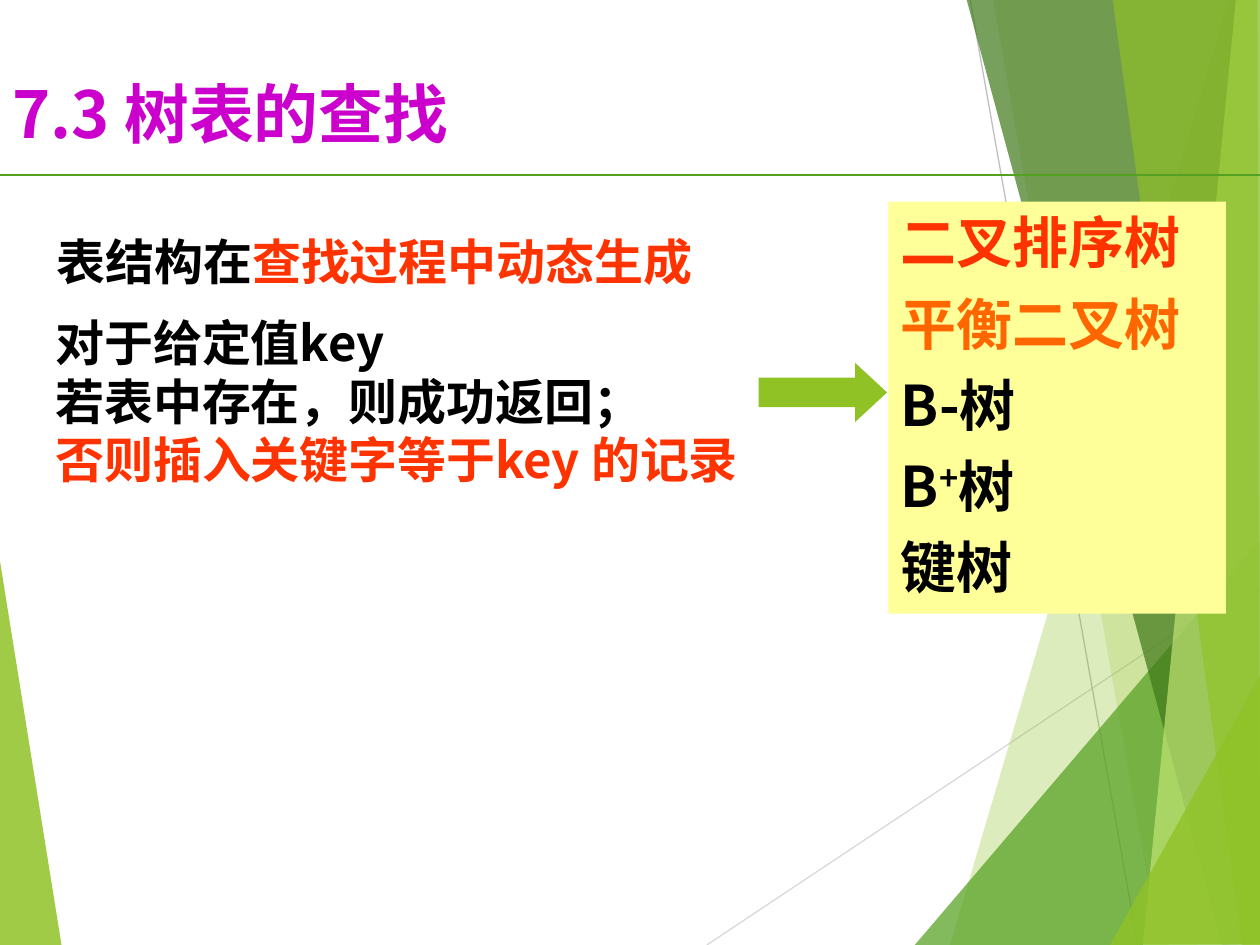
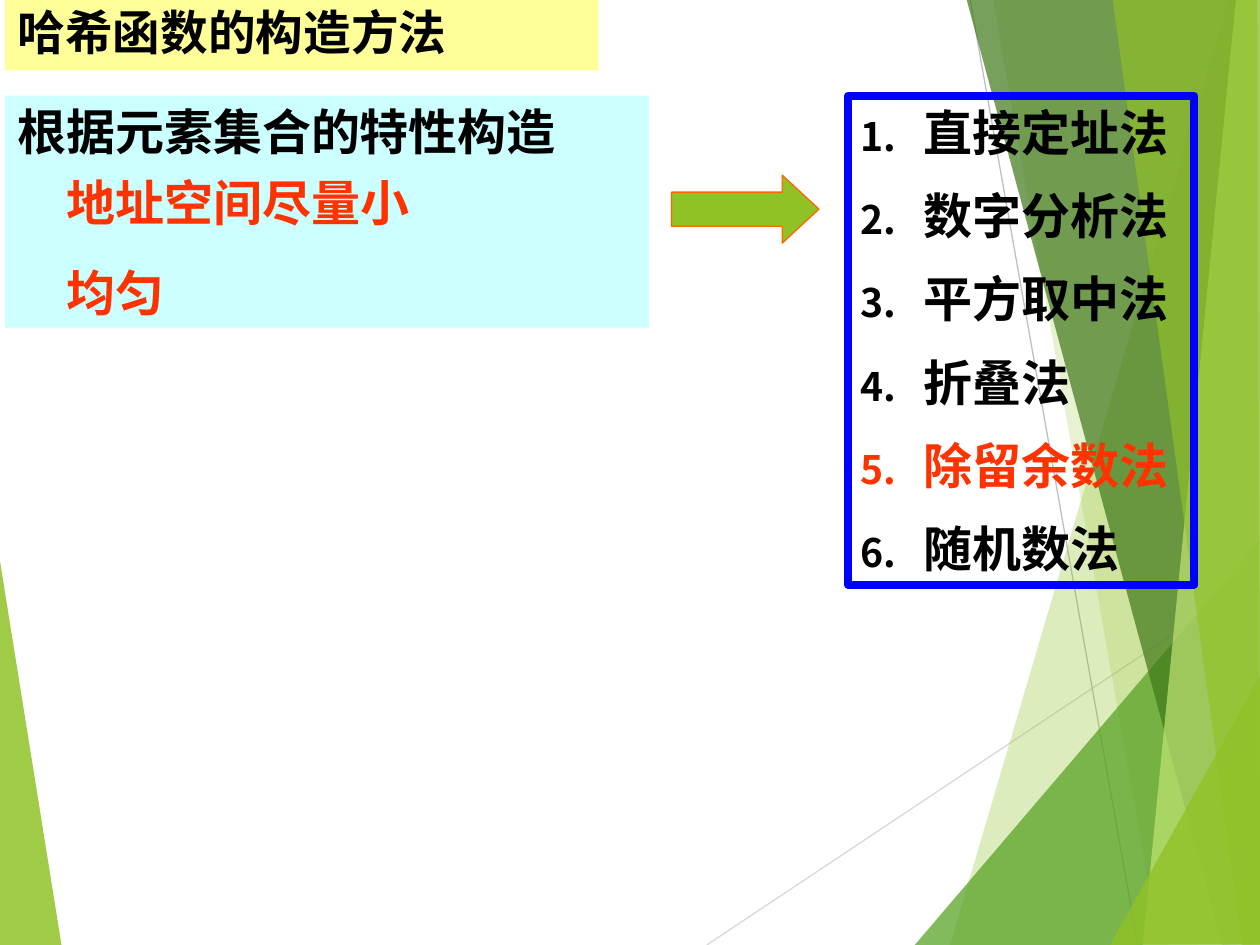
from lxml import etree
from pptx import Presentation
from pptx.dml.color import RGBColor
from pptx.enum import shapes, text
from pptx.oxml.ns import qn
from pptx.util import Inches, Pt

# Shared palette and fonts
LIME = RGBColor(0x90, 0xC2, 0x26)
PALE_LIME = RGBColor(0xC0, 0xE4, 0x74)
GREEN = RGBColor(0x54, 0xA0, 0x21)
FOREST = RGBColor(0x3F, 0x78, 0x19)
LIGHT_GREY = RGBColor(0xD9, 0xD9, 0xD9)
GREY = RGBColor(0xBF, 0xBF, 0xBF)
PURPLE = RGBColor(0xCC, 0x00, 0xCC)
RED = RGBColor(0xFF, 0x33, 0x00)
ORANGE = RGBColor(0xFF, 0x66, 0x00)
BLACK = RGBColor(0, 0, 0)
BLUE = RGBColor(0, 0, 0xFF)
YELLOW = RGBColor(0xFF, 0xFF, 0x99)
CYAN = RGBColor(0xCC, 0xFF, 0xFF)
SANS = "Noto Sans CJK SC"
SERIF = "Times New Roman"

# Translucent facets from back to front: colour, opacity in percent, corners
FACETS = [
    (LIME, 85, [(-0.01, 4.39), (0.49, 7.51), (-0.01, 7.5)]),
    (LIME, 30, [(9.75, 0), (7.54, 7.5), (10.02, 7.51), (10.01, 0.01)]),
    (LIME, 20, [(7.88, -0.01), (9.2, 7.5), (10.01, 7.5), (10.01, -0.01)]),
    (GREEN, 72, [(7.26, 7.5), (10, 4.29), (10.01, 7.5)]),
    (FOREST, 70, [(7.67, -0.01), (9.7, 7.5), (10.01, 7.49), (10.01, -0.01)]),
    (PALE_LIME, 70, [(9.81, -0.01), (9.07, 7.5), (10.01, 7.5), (10, -0.01)]),
    (LIME, 65, [(8.83, -0.01), (9.86, 7.5), (10, 7.5), (9.98, -0.01)]),
    (LIME, 80, [(8.81, 7.5), (10.01, 5.35), (10.01, 7.49)]),
]


def inches(*lengths):
    return [Inches(length) for length in lengths]


def place(shape, box):
    shape.left, shape.top, shape.width, shape.height = inches(*box)
    return shape


def paint(shape, color):
    shape.fill.solid()
    shape.fill.fore_color.rgb = color


def add_line(slide, start, end, color, width):
    line = slide.shapes.add_connector(
        shapes.MSO_CONNECTOR.STRAIGHT, *inches(*start, *end))
    line.line.color.rgb = color
    line.line.width = Pt(width)
    etree.SubElement(line._element.spPr, qn("a:effectLst"))
    return line


def add_facet(slide, color, opacity, corners):
    points = [inches(*corner) for corner in corners]
    outline = slide.shapes.build_freeform(*points[0], scale=1.0)
    outline.add_line_segments(points[1:], close=True)
    facet = outline.convert_to_shape()
    facet.shadow.inherit = False
    facet.line.fill.background()
    paint(facet, color)
    shade = facet._element.spPr.find(".//" + qn("a:srgbClr"))
    etree.SubElement(shade, qn("a:alpha"), val=str(opacity * 1000))
    return facet


def build_backdrop(slide):
    """Draw the backdrop once and hand it to the layout both slides use."""
    parts = [add_facet(slide, *FACETS[0]),
             add_line(slide, (5.61, 7.5), (10.01, 4.57), LIGHT_GREY, 0.75),
             add_line(slide, (7.7, 0), (9.03, 7.5), GREY, 0.75)]
    parts += [add_facet(slide, *facet) for facet in FACETS[1:]]
    tree = slide.slide_layout.shapes.element
    for part in parts:
        tree.append(part._element)


def set_marker(paragraph, color=None, indent=0.0, hanging=0.0):
    """Number the paragraph in the given colour, or clear its bullet."""
    props = paragraph._p.get_or_add_pPr()
    props.set("marL", str(Inches(indent)))
    props.set("indent", str(-Inches(hanging)))
    if color is None:
        etree.SubElement(props, qn("a:buNone"))
        return
    shade = etree.SubElement(props, qn("a:buClr"))
    etree.SubElement(shade, qn("a:srgbClr"), val=str(color))
    etree.SubElement(props, qn("a:buSzPct"), val="80000")
    etree.SubElement(props, qn("a:buAutoNum"), type="arabicPeriod")


def write(shape, paragraphs, size=28, before=0, line=None, font=SANS,
          anchor=text.MSO_ANCHOR.TOP, numbered=False, indent=0.0, hanging=0.0):
    """Fill a shape; a paragraph is a list of (words, colour, options...) runs."""
    frame = shape.text_frame
    frame.word_wrap = True
    frame.auto_size = text.MSO_AUTO_SIZE.NONE
    frame.vertical_anchor = anchor
    for index, runs in enumerate(paragraphs):
        paragraph = frame.add_paragraph() if index else frame.paragraphs[0]
        options = runs[0][2] if len(runs[0]) > 2 else {}
        set_marker(paragraph, runs[0][1] if numbered else None,
                   options.get("indent", indent), hanging)
        paragraph.alignment = text.PP_ALIGN.LEFT
        paragraph.space_before = Pt(options.get("before", before) if index else 0)
        if line:
            paragraph.line_spacing = line
        for words, color, *extra in runs:
            settings = extra[0] if extra else {}
            run = paragraph.add_run()
            run.text = words
            run.font.size = Pt(size)
            run.font.bold = True
            run.font.color.rgb = color
            run.font.name = settings.get("font", font)
            props = run.font._element
            etree.SubElement(props, qn("a:ea"), typeface=SANS)
            if "raised" in settings:
                props.set("baseline", str(settings["raised"] * 1000))


def add_note(slide, box, paragraphs, fill=None, **style):
    note = slide.shapes.add_textbox(*inches(*box))
    if fill is not None:
        paint(note, fill)
    write(note, paragraphs, **style)


def add_arrow(slide, box, head, outline=None):
    arrow = slide.shapes.add_shape(shapes.MSO_SHAPE.RIGHT_ARROW, *inches(*box))
    arrow.shadow.inherit = False
    arrow.adjustments[1] = head
    paint(arrow, LIME)
    if outline is None:
        arrow.line.fill.background()
    else:
        arrow.line.color.rgb = outline
        arrow.line.width = Pt(0.75)


def set_title(slide, box, words, color, size):
    title = place(slide.shapes.title, box)
    write(title, [[(words, color)]], size=size, line=0.9,
          anchor=text.MSO_ANCHOR.MIDDLE)
    return title


def build_tree_tables(slide):
    # Heading and rule
    set_title(slide, (0, 0.56, 6.73, 0.75), "7.3 树表的查找", PURPLE, 37)
    add_line(slide, (0, 1.39), (10, 1.39), GREEN, 1)

    # How a tree table is searched
    add_note(slide, (0.35, 1.79, 5.5, 0.57),
             [[("表结构在", BLACK), ("查找过程中动态生成", RED)]])
    add_note(slide, (0.34, 2.43, 5.69, 1.97),
             [[("对于给定值key", BLACK)],
              [("若表中存在，则成功返回；", BLACK)],
              [("否则插入关键字等于key 的记录", RED)]])

    # Kinds of tree
    kinds = place(slide.placeholders[1], (7.05, 1.6, 2.68, 3.27))
    paint(kinds, YELLOW)
    write(kinds,
          [[("二叉排序树", RED)],
           [("平衡二叉树", ORANGE)],
           [("B-树", BLACK)],
           [("B", BLACK), ("+", BLACK, {"raised": 30}), ("树", BLACK)],
           [("键树", BLACK)]],
          size=32, before=8, indent=0.38, hanging=0.38)
    add_arrow(slide, (6.02, 2.88, 1.02, 0.47), head=0.54)


def build_hash_methods(slide):
    # Heading band
    heading = set_title(slide, (0.04, 0, 4.71, 0.56),
                        "哈希函数的构造方法", BLACK, 27.2)
    paint(heading, YELLOW)

    # Design goals
    add_note(slide, (0.04, 0.76, 5.11, 1.84),
             [[("根据元素集合的特性构造", BLACK, {"font": SERIF})],
              [("地址空间尽量小", RED, {"indent": 0.39})],
              [("均匀", RED, {"indent": 0.39, "before": 17.5})]],
             fill=CYAN, before=7)

    # Numbered methods
    methods = place(slide.placeholders[1], (6.73, 0.76, 2.75, 3.88))
    methods.line.color.rgb = BLUE
    methods.line.width = Pt(4.5)
    names = ["直接定址法", "数字分析法", "平方取中法",
             "折叠法", "除留余数法", "随机数法"]
    write(methods,
          [[(name, RED if name == "除留余数法" else BLACK)] for name in names],
          before=14, numbered=True, indent=0.5, hanging=0.5)
    add_arrow(slide, (5.33, 1.39, 1.17, 0.54), head=0.54, outline=ORANGE)


def main():
    prs = Presentation()
    prs.slide_width, prs.slide_height = inches(10, 7.5)
    layout = prs.slide_layouts[1]
    tree_slide = prs.slides.add_slide(layout)
    build_backdrop(tree_slide)
    build_tree_tables(tree_slide)
    build_hash_methods(prs.slides.add_slide(layout))
    prs.save("out.pptx")


if __name__ == "__main__":
    main()
